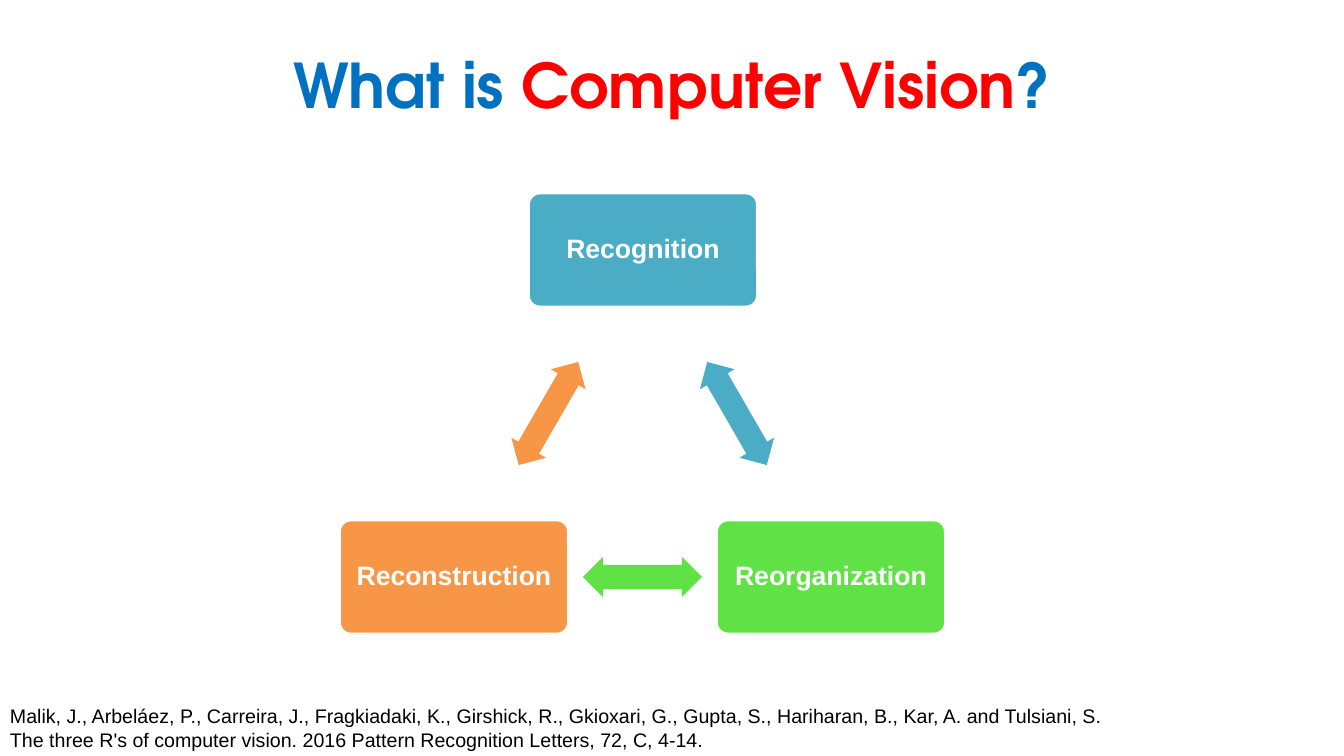
from pptx import Presentation
from pptx import util as u
from pptx.dml.color import RGBColor
from pptx.enum import shapes, text

# Content
COLORS = {
    "blue": "0070C0", "red": "FF0000", "teal": "4BACC6", "green": "60E146",
    "orange": "F79646", "white": "FFFFFF", "black": "000000",
}
TITLE = [("What is ", "blue"), ("Computer Vision", "red"), ("?", "blue")]
# Label, colour, centre of the box; each arrow leads on to the next box
TOPICS = [
    ("Recognition", "teal", (643, 250)),
    ("Reorganization", "green", (831, 577)),
    ("Reconstruction", "orange", (454, 577)),
]
CITATION = [
    "Malik, J., Arbeláez, P., Carreira, J., Fragkiadaki, K., Girshick, R., "
    "Gkioxari, G., Gupta, S., Hariharan, B., Kar, A. and Tulsiani, S.",
    "The three R's of computer vision. 2016 Pattern Recognition Letters, 72, C, 4-14.",
]

# Layout in px
SLIDE_SIZE = (1344, 756)
TITLE_AREA = (0, 11, 1344, 146)
CITATION_AREA = (0, 699, 1174, 57)
BOX_SIZE = (229, 114)
ARROW_SIZE = (119, 40)
BOX_INSET = 11


def px(length):
    return u.Emu(round(length * 914400 / 100.8))


def color(name):
    return RGBColor.from_string(COLORS[name])


def set_font(font, name, size, bold=False, fill=None):
    font.name, font.size, font.bold = name, u.Pt(size), bold
    if fill:
        font.color.rgb = color(fill)


def add_centered(slide, kind, center, size, fill, adjustments):
    left, top = (c - s / 2 for c, s in zip(center, size))
    shape = slide.shapes.add_shape(kind, *map(px, (left, top, *size)))
    shape.shadow.inherit = False
    shape.fill.solid()
    shape.fill.fore_color.rgb = color(fill)
    shape.line.fill.background()
    for index, value in enumerate(adjustments):
        shape.adjustments[index] = value
    return shape


def add_title(slide):
    title = slide.shapes.title
    title.left, title.top, title.width, title.height = map(px, TITLE_AREA)
    frame = title.text_frame
    frame.auto_size = text.MSO_AUTO_SIZE.NONE
    frame.vertical_anchor = text.MSO_ANCHOR.MIDDLE
    paragraph = frame.paragraphs[0]
    paragraph.alignment = text.PP_ALIGN.CENTER
    set_font(paragraph.font, "TeX Gyre Adventor", 44, True)
    for words, fill in TITLE:
        run = paragraph.add_run()
        run.text = words
        set_font(run.font, "TeX Gyre Adventor", 44, True, fill)


def add_box(slide, label, fill, center):
    box = add_centered(slide, shapes.MSO_SHAPE.ROUNDED_RECTANGLE, center, BOX_SIZE, fill, [0.1])
    box.line.color.rgb = color("white")
    box.line.width = u.Pt(2)
    frame = box.text_frame
    frame.word_wrap = True
    frame.vertical_anchor = text.MSO_ANCHOR.MIDDLE
    frame.margin_left = frame.margin_right = px(BOX_INSET)
    frame.margin_top = frame.margin_bottom = px(BOX_INSET)
    paragraph = frame.paragraphs[0]
    paragraph.text = label
    paragraph.alignment = text.PP_ALIGN.CENTER
    paragraph.line_spacing = 0.9
    set_font(paragraph.font, "Arial", 19, True, "white")


def add_citation(slide):
    frame = slide.shapes.add_textbox(*map(px, CITATION_AREA)).text_frame
    frame.word_wrap = True
    for index, line in enumerate(CITATION):
        paragraph = frame.add_paragraph() if index else frame.paragraphs[0]
        paragraph.text = line
        set_font(paragraph.font, "Arial", 14, fill="black")


def main():
    presentation = Presentation()
    presentation.slide_width, presentation.slide_height = map(px, SLIDE_SIZE)
    slide = presentation.slides.add_slide(presentation.slide_layouts[5])
    add_title(slide)

    # Cycle of boxes, with an arrow midway between neighbours
    for index, (label, fill, center) in enumerate(TOPICS):
        add_box(slide, label, fill, center)
        following = TOPICS[(index + 1) % len(TOPICS)][2]
        midpoint = [(a + b) / 2 for a, b in zip(center, following)]
        arrow = add_centered(slide, shapes.MSO_SHAPE.LEFT_RIGHT_ARROW, midpoint,
                             ARROW_SIZE, fill, [0.6, 0.5])
        arrow.rotation = 60 + 120 * index

    add_citation(slide)
    presentation.save("out.pptx")


if __name__ == "__main__":
    main()
